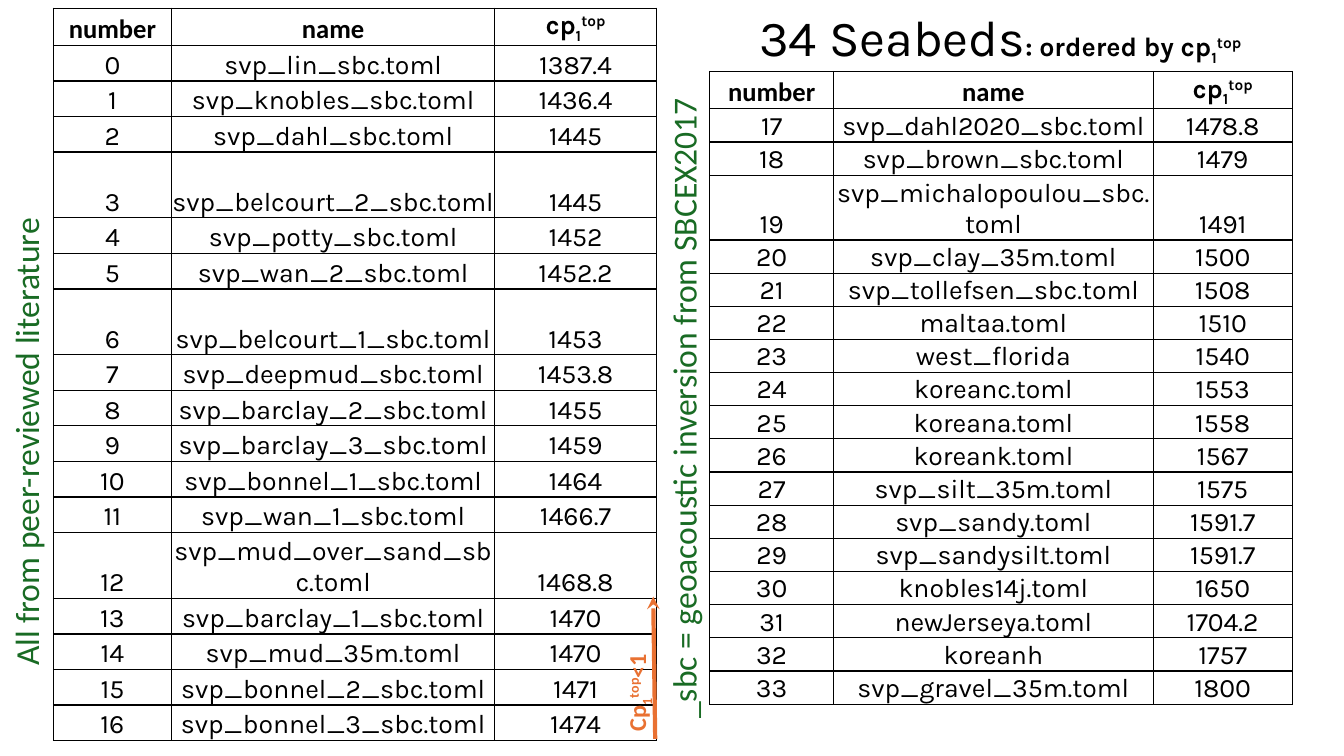
"""Build the slide listing 34 seabeds ordered by sound speed at the top of the sediment."""
from dataclasses import dataclass
from typing import NamedTuple

from lxml.etree import SubElement
from pptx import Presentation
from pptx.dml.color import RGBColor as Rgb
from pptx.enum.shapes import MSO_CONNECTOR as Connector
from pptx.enum.text import MSO_ANCHOR as Anchor, PP_ALIGN as Align
from pptx.oxml.ns import qn
from pptx.util import Pt


@dataclass(frozen=True)
class Theme:
    black: str = "000000"
    green: str = "196B24"
    orange: str = "E97132"
    heading: str = "Calibri"
    body: str = "Karla"
    title_size: float = 36
    subtitle_size: float = 19.2
    table_size: float = 19
    label_size: float = 24
    arrow_size: float = 17.3


THEME = Theme()


class Span(NamedTuple):
    text: str
    size: float
    font: str
    color: str = THEME.black
    bold: bool = False
    baseline: int = 0


class Label(NamedTuple):
    left: float
    top: float
    width: float
    height: float
    spans: list[Span]
    rotation: int = 0
    align: Align = Align.LEFT
    anchor: Anchor = Anchor.TOP


class SeabedTable(NamedTuple):
    left: float
    top: float
    columns: list[float]
    row_height: float
    special_heights: dict[int, float]
    first_number: int
    seabeds: list[tuple[str, str]]


def sound_speed(lead: str, size: float, font: str, color: str = THEME.black) -> list[Span]:
    return [Span(text, size, font, color, True, baseline)
            for text, baseline in ((lead, 0), ("1", -25000), ("top", 30000))]


def write_spans(para, spans: list[Span]) -> None:
    for item in spans:
        span = para.add_run()
        span.text = item.text
        span.font.size = Pt(item.size)
        span.font.name = item.font
        span.font.bold = item.bold
        span.font.color.rgb = Rgb.from_string(item.color)
        if item.baseline:
            span._r.get_or_add_rPr().set("baseline", str(item.baseline))


def draw_label(shapes, label: Label) -> None:
    box = shapes.add_textbox(Pt(label.left), Pt(label.top), Pt(label.width), Pt(label.height))
    box.rotation = label.rotation
    frame = box.text_frame
    frame.word_wrap = True
    frame.vertical_anchor = label.anchor
    para = frame.paragraphs[0]
    para.alignment = label.align
    write_spans(para, label.spans)


def draw_cell(cell, spans: list[Span]) -> None:
    cell.margin_left = cell.margin_right = cell.margin_top = Pt(0.7)
    cell.margin_bottom = Pt(0)
    cell.vertical_anchor = Anchor.BOTTOM
    para = cell.text_frame.paragraphs[0]
    para.alignment = Align.CENTER
    write_spans(para, spans)
    properties = cell._tc.get_or_add_tcPr()
    for side in ("a:lnL", "a:lnR", "a:lnT", "a:lnB"):
        border = SubElement(properties, qn(side), w=str(Pt(1)))
        fill = SubElement(border, qn("a:solidFill"))
        SubElement(fill, qn("a:srgbClr"), val=THEME.black)
    cell.fill.background()


def draw_table(page, spec_table: SeabedTable) -> None:
    size = THEME.table_size
    rows = [[[Span(text, size, THEME.heading, bold=True)] for text in ("number", "name")]
            + [sound_speed("cp", size, THEME.body)]]
    for number, (name, speed) in enumerate(spec_table.seabeds, spec_table.first_number):
        rows.append([[Span(text, size, THEME.body)] for text in (str(number), name, speed)])
    heights = [spec_table.special_heights.get(index, spec_table.row_height)
               for index in range(len(rows))]
    table = page.shapes.add_table(
        len(rows), len(spec_table.columns), Pt(spec_table.left), Pt(spec_table.top),
        Pt(sum(spec_table.columns)), Pt(sum(heights))).table
    table.first_row = table.horz_banding = False
    for column, width in zip(table.columns, spec_table.columns):
        column.width = Pt(width)
    for row, height, contents in zip(table.rows, heights, rows):
        row.height = Pt(height)
        for cell, spans in zip(row.cells, contents):
            draw_cell(cell, spans)


def draw_arrow(shapes) -> None:
    arrow = shapes.add_connector(Connector.STRAIGHT, Pt(468), Pt(527.8), Pt(466.6), Pt(426.2))
    arrow.line.color.rgb = Rgb.from_string(THEME.orange)
    arrow.line.width = Pt(3)
    SubElement(arrow.line._get_or_add_ln(), qn("a:tailEnd"), type="stealth")
    SubElement(arrow._element.spPr, qn("a:effectLst"))


TABLES = [
    SeabedTable(38.2, 5.8, [84.2, 231.1, 115.2], 25.4, {4: 47, 7: 47, 13: 47}, 0, [
        ("svp_lin_sbc.toml", "1387.4"), ("svp_knobles_sbc.toml", "1436.4"),
        ("svp_dahl_sbc.toml", "1445"), ("svp_belcourt_2_sbc.toml", "1445"),
        ("svp_potty_sbc.toml", "1452"), ("svp_wan_2_sbc.toml", "1452.2"),
        ("svp_belcourt_1_sbc.toml", "1453"), ("svp_deepmud_sbc.toml", "1453.8"),
        ("svp_barclay_2_sbc.toml", "1455"), ("svp_barclay_3_sbc.toml", "1459"),
        ("svp_bonnel_1_sbc.toml", "1464"), ("svp_wan_1_sbc.toml", "1466.7"),
        ("svp_mud_over_sand_sbc.toml", "1468.8"), ("svp_barclay_1_sbc.toml", "1470"),
        ("svp_mud_35m.toml", "1470"), ("svp_bonnel_2_sbc.toml", "1471"),
        ("svp_bonnel_3_sbc.toml", "1474")]),
    SeabedTable(506.9, 51.1, [88.6, 228.2, 99.4], 23.7, {3: 41.8, 7: 22.3}, 17, [
        ("svp_dahl2020_sbc.toml", "1478.8"), ("svp_brown_sbc.toml", "1479"),
        ("svp_michalopoulou_sbc.toml", "1491"), ("svp_clay_35m.toml", "1500"),
        ("svp_tollefsen_sbc.toml", "1508"), ("maltaa.toml", "1510"),
        ("west_florida", "1540"), ("koreanc.toml", "1553"),
        ("koreana.toml", "1558"), ("koreank.toml", "1567"),
        ("svp_silt_35m.toml", "1575"), ("svp_sandy.toml", "1591.7"),
        ("svp_sandysilt.toml", "1591.7"), ("knobles14j.toml", "1650"),
        ("newJerseya.toml", "1704.2"), ("koreanh", "1757"),
        ("svp_gravel_35m.toml", "1800")]),
]

TITLE = Label(
    492.5, 0, 444.2, 52.6,
    [Span("34 Seabeds", THEME.title_size, THEME.body)]
    + sound_speed(": ordered by cp", THEME.subtitle_size, THEME.body),
    align=Align.CENTER, anchor=Anchor.MIDDLE)

SIDE_NOTES = [
    Label(left, top, width, 36, [Span(text, THEME.label_size, THEME.heading, THEME.green)], 270)
    for left, top, width, text in (
        (-150.5, 295.9, 337.7, "All from peer-reviewed literature"),
        (257, 271.4, 462.2, "_sbc = geoacoustic inversion from SBCEX2017"))
]

ARROW_LABEL = Label(
    416.9, 477.4, 75.6, 28.1,
    sound_speed("Cp", THEME.arrow_size, THEME.heading, THEME.orange)
    + [Span("<1", THEME.arrow_size, THEME.heading, THEME.orange, True)], 270)


def main() -> None:
    deck = Presentation()
    deck.slide_width, deck.slide_height = Pt(960), Pt(540)
    page = deck.slides.add_slide(deck.slide_layouts[6])
    draw_label(page.shapes, TITLE)
    for seabed_table in TABLES:
        draw_table(page, seabed_table)
    for note in SIDE_NOTES:
        draw_label(page.shapes, note)
    group = page.shapes.add_group_shape()
    draw_arrow(group.shapes)
    draw_label(group.shapes, ARROW_LABEL)
    deck.save("out.pptx")


if __name__ == "__main__":
    main()
